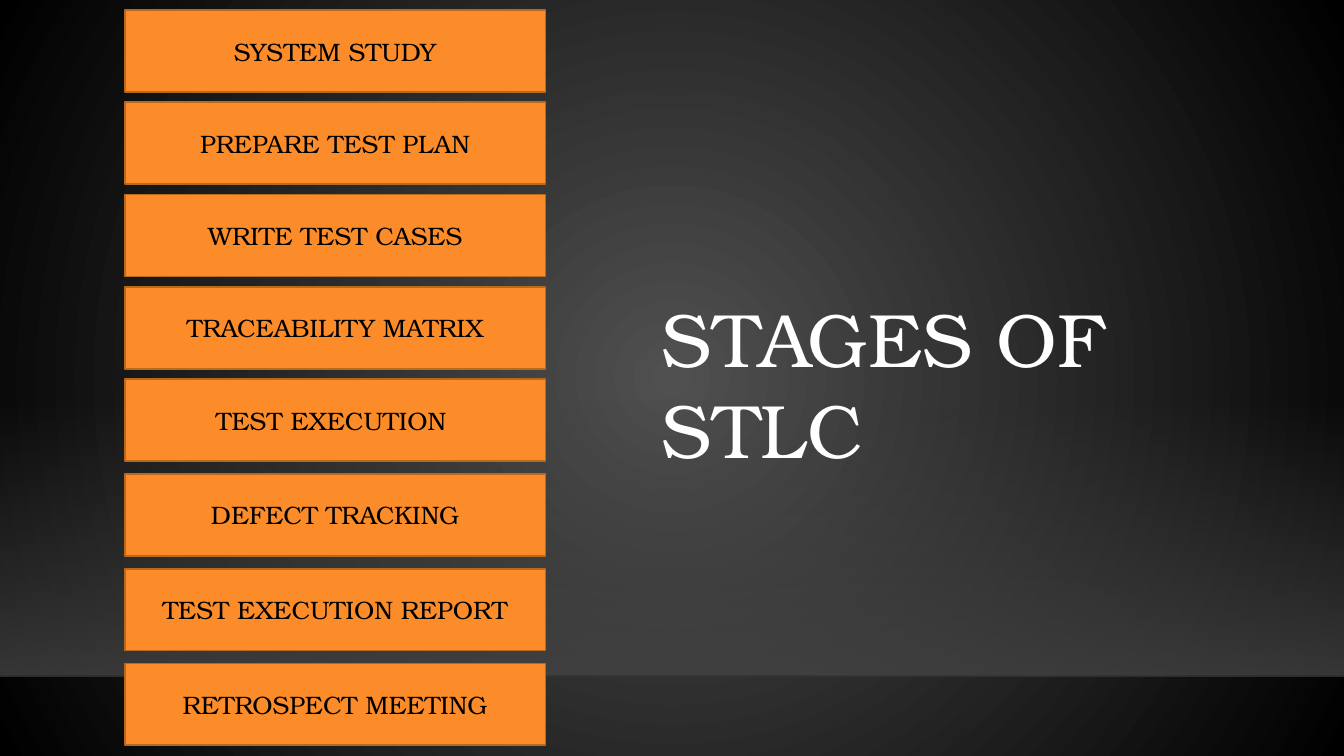
"""Build the slide that lists the stages of the software testing life cycle."""
from lxml.etree import SubElement
from pptx import Presentation
from pptx.dml.color import RGBColor
from pptx.enum.shapes import MSO_CONNECTOR as Connector, MSO_SHAPE as Shape
from pptx.enum.text import MSO_ANCHOR as Anchor, MSO_AUTO_SIZE as AutoSize, PP_ALIGN as Align
from pptx.oxml import parse_xml
from pptx.oxml.ns import nsdecls, qn
from pptx.util import Pt

COLORS = {
    "glow": "505050",
    "edge": "000000",
    "floor": "454545",
    "horizon": "000001",
    "stage": "FB8C29",
    "stage_border": "BA681E",
    "stage_text": "000000",
    "title": "FFFFFF",
}
FONT = "TeX Gyre Bonum"
SLIDE_WIDTH, SLIDE_HEIGHT = 960, 540
HORIZON = 483
FLOOR_TOP = 285.4
STAGES = [
    "SYSTEM STUDY",
    "PREPARE TEST PLAN",
    "WRITE TEST CASES",
    "TRACEABILITY MATRIX",
    "TEST EXECUTION ",
    "DEFECT TRACKING",
    "TEST EXECUTION REPORT",
    "RETROSPECT MEETING",
]
STAGE_LEFT, STAGE_TOP, STAGE_WIDTH, STAGE_HEIGHT = 89.2, 7.2, 300.4, 58.5
UPPER_PITCH, LOWER_PITCH, LAST_UPPER = 65.9, 67.7, 4
RADIAL = (
    '<a:path path="circle"><a:fillToRect l="50000" t="50000" '
    'r="50000" b="50000"/></a:path>'
)
DOWNWARD = '<a:lin ang="5400000" scaled="0"/>'


def rgb(name):
    """Return the named colour."""
    return RGBColor.from_string(COLORS[name])


def set_gradient(fill, element, start, end, direction):
    """Fill with a gradient between two (colour name, opacity percent) stops."""
    fill.gradient()
    stops = "".join(
        f'<a:gs pos="{position}"><a:srgbClr val="{COLORS[name]}">'
        f'<a:alpha val="{opacity * 1000}"/></a:srgbClr></a:gs>'
        for position, (name, opacity) in ((0, start), (100000, end))
    )
    gradient = parse_xml(
        f'<a:gradFill {nsdecls("a")} rotWithShape="1">'
        f"<a:gsLst>{stops}</a:gsLst>{direction}</a:gradFill>"
    )
    default = element.find(".//" + qn("a:gradFill"))
    default.getparent().replace(default, gradient)


def set_font(paragraph, size, color):
    """Set the font of a whole paragraph."""
    paragraph.font.name = FONT
    paragraph.font.size = Pt(size)
    paragraph.font.color.rgb = rgb(color)


def add_backdrop(slide):
    """Draw the radial background, the lit floor and the horizon."""
    set_gradient(slide.background.fill, slide.element, ("glow", 100), ("edge", 100), RADIAL)
    floor = slide.shapes.add_shape(
        Shape.RECTANGLE, 0, Pt(FLOOR_TOP), Pt(SLIDE_WIDTH), Pt(HORIZON - FLOOR_TOP)
    )
    floor.shadow.inherit = False
    floor.line.fill.background()
    set_gradient(floor.fill, floor.element, ("floor", 0), ("floor", 80), DOWNWARD)

    horizon = slide.shapes.add_connector(
        Connector.STRAIGHT, 0, Pt(HORIZON), Pt(SLIDE_WIDTH), Pt(HORIZON)
    )
    horizon.line.width = Pt(1)
    horizon.line.color.rgb = rgb("horizon")
    color = horizon.element.spPr.find(".//" + qn("a:srgbClr"))
    SubElement(color, qn("a:alpha"), val="20000")
    SubElement(horizon.element.spPr, qn("a:effectLst"))


def add_stage(slide, label, top):
    """Add one stage box."""
    stage = slide.shapes.add_shape(
        Shape.RECTANGLE, Pt(STAGE_LEFT), Pt(top), Pt(STAGE_WIDTH), Pt(STAGE_HEIGHT)
    )
    stage.shadow.inherit = False
    stage.fill.solid()
    stage.fill.fore_color.rgb = rgb("stage")
    stage.line.color.rgb = rgb("stage_border")
    stage.line.width = Pt(1.25)
    frame = stage.text_frame
    frame.text = label
    frame.vertical_anchor = Anchor.MIDDLE
    paragraph = frame.paragraphs[0]
    paragraph.alignment = Align.CENTER
    set_font(paragraph, 18, "stage_text")


def add_title(slide, text):
    """Add the title beside the stages."""
    title = slide.shapes.add_textbox(Pt(465.8), Pt(205.2), Pt(456.5), Pt(72.7))
    frame = title.text_frame
    frame.word_wrap = True
    frame.auto_size = AutoSize.SHAPE_TO_FIT_TEXT
    frame.text = text
    set_font(frame.paragraphs[0], 54, "title")


def main():
    """Build and save the slide."""
    deck = Presentation()
    deck.slide_width, deck.slide_height = Pt(SLIDE_WIDTH), Pt(SLIDE_HEIGHT)
    slide = deck.slides.add_slide(deck.slide_layouts[6])
    add_backdrop(slide)
    top = STAGE_TOP
    for index, label in enumerate(STAGES):
        add_stage(slide, label, top)
        top += UPPER_PITCH if index < LAST_UPPER else LOWER_PITCH
    add_title(slide, "STAGES OF STLC")
    deck.save("out.pptx")


main()
